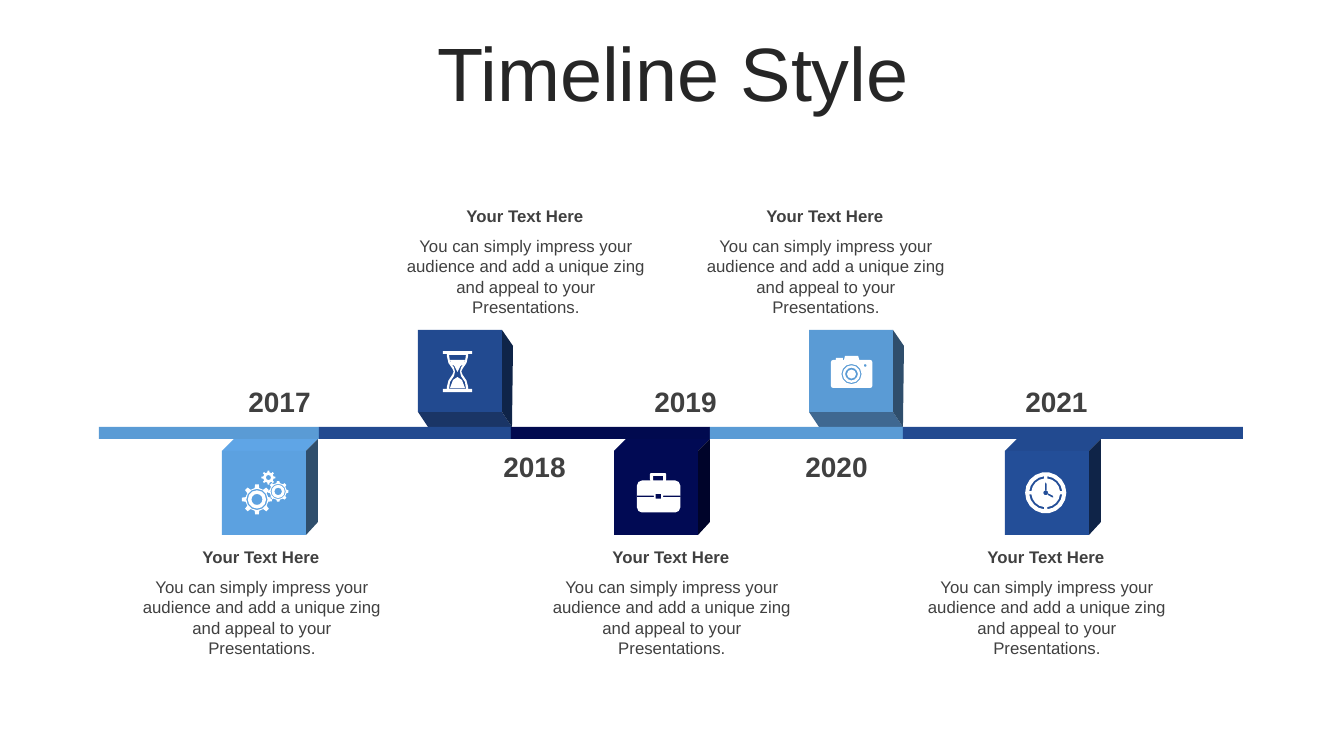
import math
from dataclasses import dataclass

import pptx
from pptx import util as u
from pptx.dml import color
from pptx.enum import shapes, text

SCALE = 914400 / 100.8
FONT = "Arial"
GREY = "404040"
WHITE = "FFFFFF"
BAR_TOP, BAR_HEIGHT = 427, 12
BLURB = ("You can simply impress your audience and add a unique zing "
         "and appeal to your Presentations.")

Point = tuple[float, float]
Contour = list[Point]


@dataclass(frozen=True)
class Palette:
    bar: str
    front: str
    cap: str
    side: str


@dataclass(frozen=True)
class Icon:
    left: int
    top: int
    contours: list[Contour]


@dataclass(frozen=True)
class Milestone:
    year: str
    year_left: int
    label_left: int
    cube_left: int
    bar_left: int
    bar_right: int
    above: bool
    palette: Palette
    icon: Icon


def px(length: float) -> u.Emu:
    return u.Emu(round(length * SCALE))


def rgb(value: str) -> color.RGBColor:
    return color.RGBColor.from_string(value)


def paint(shape, fill: str) -> None:
    shape.shadow.inherit = False
    shape.fill.solid()
    shape.fill.fore_color.rgb = rgb(fill)
    shape.line.fill.background()


def add_block(page, left: int, top: int, width: int, height: int, fill: str) -> None:
    block = page.shapes.add_shape(shapes.MSO_SHAPE.RECTANGLE,
                                  px(left), px(top), px(width), px(height))
    paint(block, fill)


def add_outline(page, contours: list[Contour], fill: str,
                left: int = 0, top: int = 0, units_per_px: int = 1) -> None:
    builder = page.shapes.build_freeform(*contours[0][0], scale=SCALE / units_per_px)
    for index, contour in enumerate(contours):
        if index:
            builder.move_to(*contour[0])
        builder.add_line_segments(contour[1:], close=True)
    paint(builder.convert_to_shape(px(left), px(top)), fill)


def style(para, size: int, tint: str, bold: bool = False) -> None:
    para.alignment = text.PP_ALIGN.CENTER
    for span in para.runs:
        span.font.name = FONT
        span.font.size = u.Pt(size)
        span.font.bold = bold
        span.font.color.rgb = rgb(tint)


def add_label(page, wording: str, left: int, top: int, width: int, height: int,
              size: int, bold: bool) -> None:
    box = page.shapes.add_textbox(px(left), px(top), px(width), px(height))
    box.text_frame.word_wrap = True
    box.text_frame.text = wording
    style(box.text_frame.paragraphs[0], size, GREY, bold)


def arc(x: float, y: float, radius: float, start: int, end: int, steps: int) -> Contour:
    angles = [math.radians(start + (end - start) * i / steps) for i in range(steps + 1)]
    return [(x + radius * math.cos(a), y + radius * math.sin(a)) for a in angles]


def circle(x: float, y: float, radius: float) -> Contour:
    steps = 18 if radius > 150 else 12 if radius > 50 else 8
    return arc(x, y, radius, 0, 360, steps)[:-1]


def rect(left: int, top: int, right: int, bottom: int) -> Contour:
    return [(left, top), (right, top), (right, bottom), (left, bottom)]


def rounded(left: int, top: int, right: int, bottom: int, radius: int) -> Contour:
    inner = rect(left + radius, top + radius, right - radius, bottom - radius)
    return [point for (x, y), start in zip(inner, (180, 270, 0, 90))
            for point in arc(x, y, radius, start, start + 90, 2)]


def gear(x: int, y: int, outer: int, root: int, teeth: int = 8) -> Contour:
    profile = ((root, -0.26), (outer, -0.15), (outer, 0.15), (root, 0.26))
    pitch = math.tau / teeth
    return [(x + radius * math.sin((tooth + offset) * pitch),
             y - radius * math.cos((tooth + offset) * pitch))
            for tooth in range(teeth) for radius, offset in profile]


def mirrored(axis: int, profile: list[Point]) -> Contour:
    return ([(axis + x, y) for x, y in profile]
            + [(axis - x, y) for x, y in reversed(profile)])


def gears() -> list[Contour]:
    return [gear(170, 315, 151, 115), *(circle(170, 315, r) for r in (106, 91, 55)),
            gear(382, 235, 104, 85), *(circle(382, 235, r) for r in (76, 66, 38)),
            gear(285, 96, 70, 52), circle(285, 96, 26)]


def hourglass() -> list[Contour]:
    frame = [(145, 0), (145, 30), (105, 30), (105, 55), (90, 120), (50, 178), (38, 205),
             (50, 235), (90, 295), (105, 355), (105, 380), (145, 380), (145, 410)]
    glass = [(85, 40), (75, 105), (35, 165), (25, 205), (35, 250), (75, 310), (85, 380)]
    upper_sand = [(75, 90), (60, 130), (30, 150), (0, 210)]
    lower_sand = [(0, 260), (45, 290), (75, 370)]
    return [mirrored(145, half) for half in (frame, glass, upper_sand, lower_sand)]


def briefcase() -> list[Contour]:
    return [rounded(0, 75, 433, 395, 50), rounded(130, 0, 292, 75, 12),
            rect(161, 30, 262, 75), rect(0, 227, 170, 241),
            rect(263, 227, 433, 241), rect(186, 210, 242, 256)]


def camera() -> list[Contour]:
    return [rounded(0, 40, 413, 320, 20), rect(50, 20, 120, 40),
            [(140, 0), (272, 0), (283, 40), (130, 40)],
            *(circle(205, 181, r) for r in (101, 88, 64, 45)), circle(342, 95, 14)]


def clock() -> list[Contour]:
    dial = [arc(208, 208, 166, start + 6, start + 84, 4)
            + arc(208, 208, 144, start + 84, start + 6, 4) for start in range(0, 360, 90)]
    return [circle(208, 208, 206), *dial, circle(208, 208, 25),
            [(208, 100), (217, 120), (217, 184), (199, 184), (199, 120)],
            [(233, 213), (278, 236), (288, 256), (268, 253), (224, 228)]]


def add_cube(page, stone: Milestone) -> None:
    left, right = stone.cube_left, stone.cube_left + 84
    if stone.above:
        top, bottom, edge = 330, 412, BAR_TOP
        cap = [(left, bottom), (right, bottom), (right + 10, edge), (left + 10, edge)]
        side = [(right, top), (right + 11, top + 16), (right + 10, edge), (right, bottom)]
    else:
        top, bottom, edge = 451, 535, BAR_TOP + BAR_HEIGHT
        cap = [(left, top), (left + 12, edge), (right + 12, edge), (right, top)]
        side = [(right, top), (right + 12, edge), (right + 12, bottom - 13), (right, bottom)]
    add_outline(page, [cap], stone.palette.cap)
    add_outline(page, [side], stone.palette.side)
    add_block(page, left, top, right - left, bottom - top, stone.palette.front)
    add_outline(page, stone.icon.contours, WHITE, stone.icon.left, stone.icon.top, 10)


def add_milestone(page, stone: Milestone) -> None:
    add_cube(page, stone)
    heading_top = 201 if stone.above else 542
    add_label(page, BLURB, stone.label_left, heading_top + 30, 262, 92, 12, False)
    add_label(page, "Your Text Here", stone.label_left, heading_top, 260, 30, 12, True)
    add_label(page, stone.year, stone.year_left, 445 if stone.above else 380, 93, 44, 20, True)
    add_block(page, stone.bar_left, BAR_TOP, stone.bar_right - stone.bar_left,
              BAR_HEIGHT, stone.palette.bar)


def add_title(page) -> None:
    title = page.shapes.title
    title.left, title.top, title.width, title.height = px(35), px(37), px(1276), px(80)
    frame = title.text_frame
    frame.text = "Timeline Style"
    frame.auto_size = text.MSO_AUTO_SIZE.NONE
    frame.vertical_anchor = text.MSO_ANCHOR.MIDDLE
    frame.paragraphs[0].line_spacing = 0.9
    style(frame.paragraphs[0], 54, "262626")


SKY_LOW = Palette("5A9BD5", "5CA1E0", "5FA5E6", "2F4E6C")
SKY_HIGH = Palette("5A9BD5", "5A9BD5", "3F6891", "2F4E6C")
BLUE_LOW = Palette("224A90", "234E98", "224A90", "0F2448")
BLUE_HIGH = Palette("224A90", "224A90", "1A3566", "0F2448")
NAVY = Palette("010A4F", "010A54", "010A54", "00042A")

MILESTONES = [
    Milestone("2017", 233, 131, 222, 99, 319, False, SKY_LOW, Icon(240, 468, gears())),
    Milestone("2018", 488, 395, 418, 319, 511, True, BLUE_HIGH, Icon(443, 351, hourglass())),
    Milestone("2019", 639, 541, 614, 511, 710, False, NAVY, Icon(637, 473, briefcase())),
    Milestone("2020", 790, 695, 809, 710, 903, True, SKY_HIGH, Icon(831, 356, camera())),
    Milestone("2021", 1010, 916, 1005, 903, 1243, False, BLUE_LOW, Icon(1025, 472, clock())),
]


def main() -> None:
    deck = pptx.Presentation()
    deck.slide_width, deck.slide_height = px(1344), px(756)
    page = deck.slides.add_slide(deck.slide_layouts.get_by_name("Title Only"))
    add_title(page)
    for stone in MILESTONES:
        add_milestone(page, stone)
    deck.save("out.pptx")


if __name__ == "__main__":
    main()
